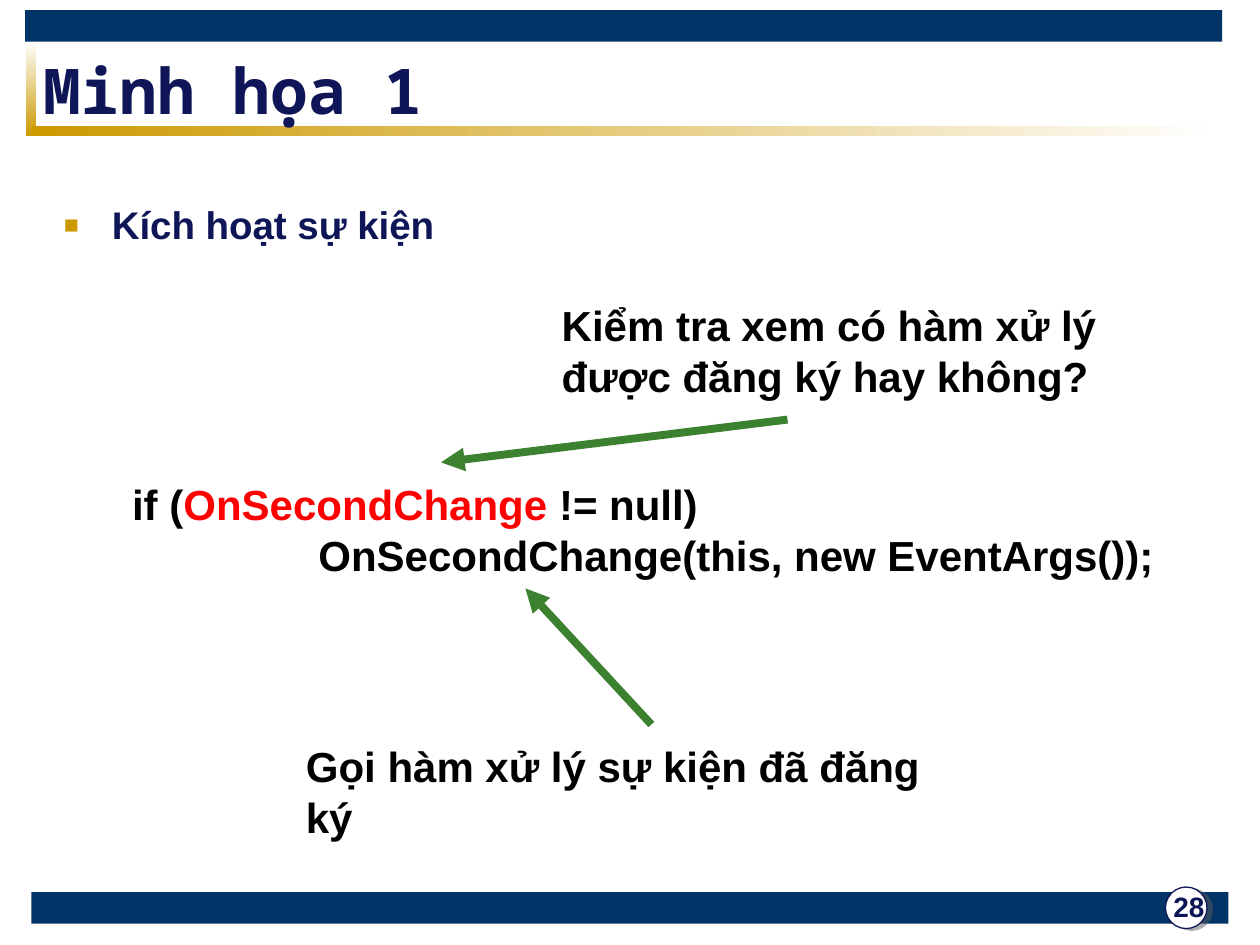
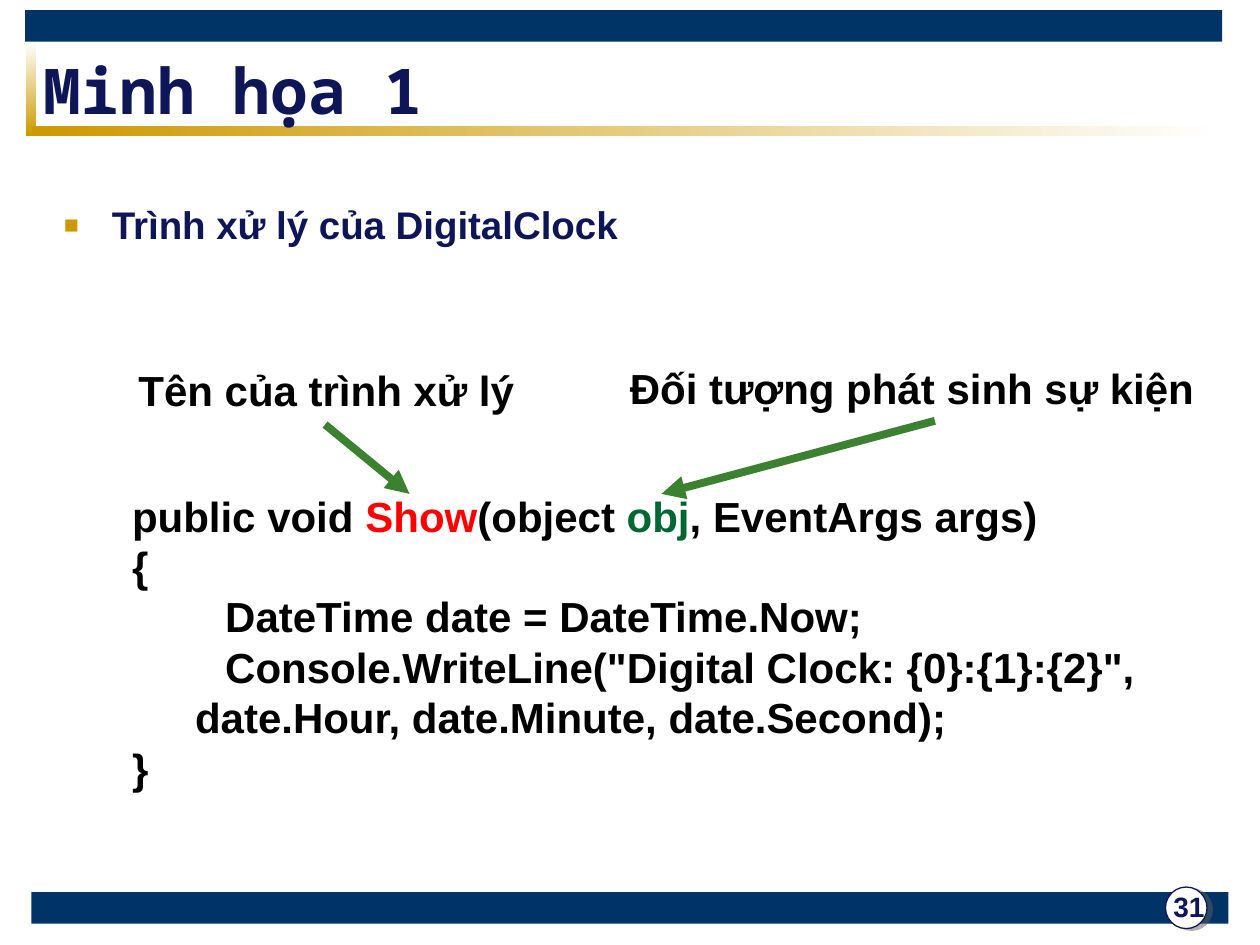
from lxml.etree import SubElement
from pptx import Presentation
from pptx.dml.color import RGBColor
from pptx.enum.shapes import MSO_CONNECTOR, MSO_SHAPE
from pptx.enum.text import MSO_ANCHOR, PP_ALIGN
from pptx.oxml.ns import qn
from pptx.util import Inches, Pt

BAND = RGBColor(0x00, 0x33, 0x66)
NAVY = RGBColor(0x0F, 0x16, 0x57)
GOLD = RGBColor(0xCC, 0x99, 0x00)
WHITE = RGBColor(0xFF, 0xFF, 0xFF)
BLACK = RGBColor(0x00, 0x00, 0x00)
RED = RGBColor(0xFF, 0x00, 0x00)
GREEN = RGBColor(0x00, 0x66, 0x33)
ARROW = RGBColor(0x3B, 0x81, 0x2F)
SHADOW = RGBColor(0x5F, 0x5F, 0x5F)

BODY_FONT, TITLE_FONT = "Arial", "Noto Sans Mono"
LINE_BREAK = "\v"

# Boxes are (left, top, width, height) in inches.
# A line of text is a string or a list of strings and (string, colour) pairs.
SLIDES = [
    {
        "number": 28,
        "title": "Minh họa 1",
        "bullet": "Kích hoạt sự kiện",
        "texts": [
            ((0.95, 3.75, 8.31, 1.3), [
                ["if (", ("OnSecondChange", RED), " != null)"],
                "                OnSecondChange(this, new EventArgs());",
            ]),
            ((2.33, 5.83, 5.53, 0.5), ["Gọi hàm xử lý sự kiện đã đăng ký"]),
            ((4.36, 2.33, 4.53, 0.9), ["Kiểm tra xem có hàm xử lý",
                                       "được đăng ký hay không?"]),
        ],
        "arrows": [((5.17, 5.75), (4.17, 4.67)), ((6.25, 3.33), (3.5, 3.67))],
    },
    {
        "number": 31,
        "title": "Minh họa 1",
        "bullet": "Trình xử lý của DigitalClock",
        "texts": [
            ((0.95, 3.84, 8.26, 2.5), [
                ["public void ", ("Show", RED), "(object ", ("obj", GREEN),
                 ", EventArgs args)"],
                "{",
                "        DateTime date = DateTime.Now;",
                ['        Console.WriteLine("Digital Clock: {0}:{1}:{2}",',
                 LINE_BREAK, "\tdate.Hour, date.Minute, date.Second);"],
                "}",
            ]),
            ((1, 2.84, 3.18, 0.5), ["Tên của trình xử lý"]),
            ((4.9, 2.83, 4.68, 0.5), ["Đối tượng phát sinh sự kiện"]),
        ],
        "arrows": [((2.58, 3.37), (3.25, 3.92)), ((7.42, 3.34), (5.25, 3.92))],
    },
]


def inches(values):
    return [Inches(v) for v in values]


def add_text(s, box, lines, size=24, color=BLACK, font=BODY_FONT, wrap=True):
    tf = s.shapes.add_textbox(*inches(box)).text_frame
    tf.word_wrap = wrap
    for i, line in enumerate(lines):
        p = tf.paragraphs[0] if i == 0 else tf.add_paragraph()
        for part in [line] if isinstance(line, str) else line:
            if part == LINE_BREAK:
                p.add_line_break()
                continue
            text, tint = (part, color) if isinstance(part, str) else part
            r = p.add_run()
            r.text = text
            r.font.name, r.font.size, r.font.bold = font, Pt(size), True
            r.font.color.rgb = tint
    return tf


def add_plain(s, kind, box):
    sp = s.shapes.add_shape(kind, *inches(box))
    sp.shadow.inherit = False
    sp.line.fill.background()
    return sp


def add_band(s, box):
    fill = add_plain(s, MSO_SHAPE.RECTANGLE, box).fill
    fill.solid()
    fill.fore_color.rgb = BAND


def add_gradient(s, box, colors, angle):
    fill = add_plain(s, MSO_SHAPE.RECTANGLE, box).fill
    fill.gradient()
    fill.gradient_angle = angle
    for stop, color in zip(fill.gradient_stops, colors):
        stop.color.rgb = color


def add_number(s, number):
    """Page number in a white disc with a hard shadow."""
    sp = add_plain(s, MSO_SHAPE.OVAL, (9.25, 7.04, 0.33, 0.33))
    sp.fill.solid()
    sp.fill.fore_color.rgb = WHITE
    sp.line.color.rgb = NAVY
    sp.line.width = Pt(0.75)
    effects = sp._element.spPr.find(qn("a:effectLst"))
    shadow = SubElement(effects, qn("a:outerShdw"), blurRad="0",
                        dist=str(Pt(3.2)), dir=str(18 * 60000))
    tint = SubElement(shadow, qn("a:srgbClr"), val=str(SHADOW))
    SubElement(tint, qn("a:alpha"), val="50000")
    tf = add_text(s, (9.19, 7.01, 0.49, 0.37), [str(number)], 16, NAVY)
    tf.paragraphs[0].alignment = PP_ALIGN.CENTER


def add_frame(s, title, number):
    add_band(s, (0.25, 7.08, 9.5, 0.25))
    add_band(s, (0.2, 0.08, 9.5, 0.25))
    add_gradient(s, (0.21, 0.33, 0.08, 0.75), (WHITE, GOLD), 270)
    add_gradient(s, (0.25, 1, 9.42, 0.08), (GOLD, WHITE), 0)
    add_number(s, number)
    tf = add_text(s, (0.25, 0.42, 9, 0.58), [title], 36, NAVY, TITLE_FONT)
    tf.vertical_anchor = MSO_ANCHOR.MIDDLE


def add_bullet(s, text):
    tf = add_text(s, (0.41, 1.55, 9.17, 0.58), [text], 22, NAVY)
    pPr = tf.paragraphs[0]._p.get_or_add_pPr()
    pPr.set("marL", str(Inches(0.38)))
    pPr.set("indent", str(-Inches(0.38)))
    SubElement(SubElement(pPr, qn("a:buClr")), qn("a:srgbClr"), val=str(GOLD))
    SubElement(pPr, qn("a:buSzPct"), val="65000")
    SubElement(pPr, qn("a:buFont"), typeface=BODY_FONT)
    SubElement(pPr, qn("a:buChar"), char="■")


def add_arrow(s, start, end):
    c = s.shapes.add_connector(MSO_CONNECTOR.STRAIGHT, *inches(start + end))
    c.line.color.rgb = ARROW
    c.line.width = Pt(4.5)
    SubElement(c.line._get_or_add_ln(), qn("a:tailEnd"), type="triangle")
    SubElement(c._element.spPr, qn("a:effectLst"))


def main():
    prs = Presentation()
    prs.slide_width, prs.slide_height = inches((10, 7.5))
    for content in SLIDES:
        s = prs.slides.add_slide(prs.slide_layouts[6])
        add_frame(s, content["title"], content["number"])
        add_bullet(s, content["bullet"])
        for box, lines in content["texts"]:
            add_text(s, box, lines, wrap=False)
        for start, end in content["arrows"]:
            add_arrow(s, start, end)
    prs.save("out.pptx")


if __name__ == "__main__":
    main()
